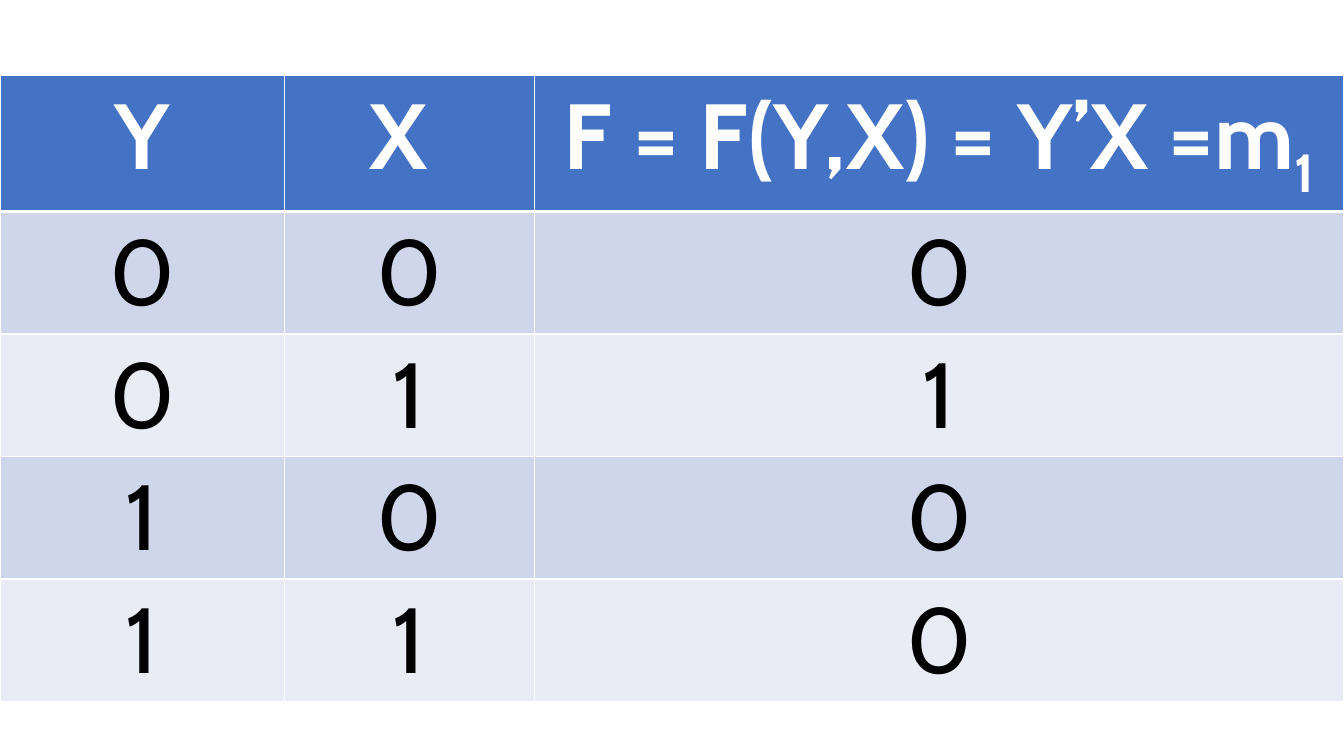
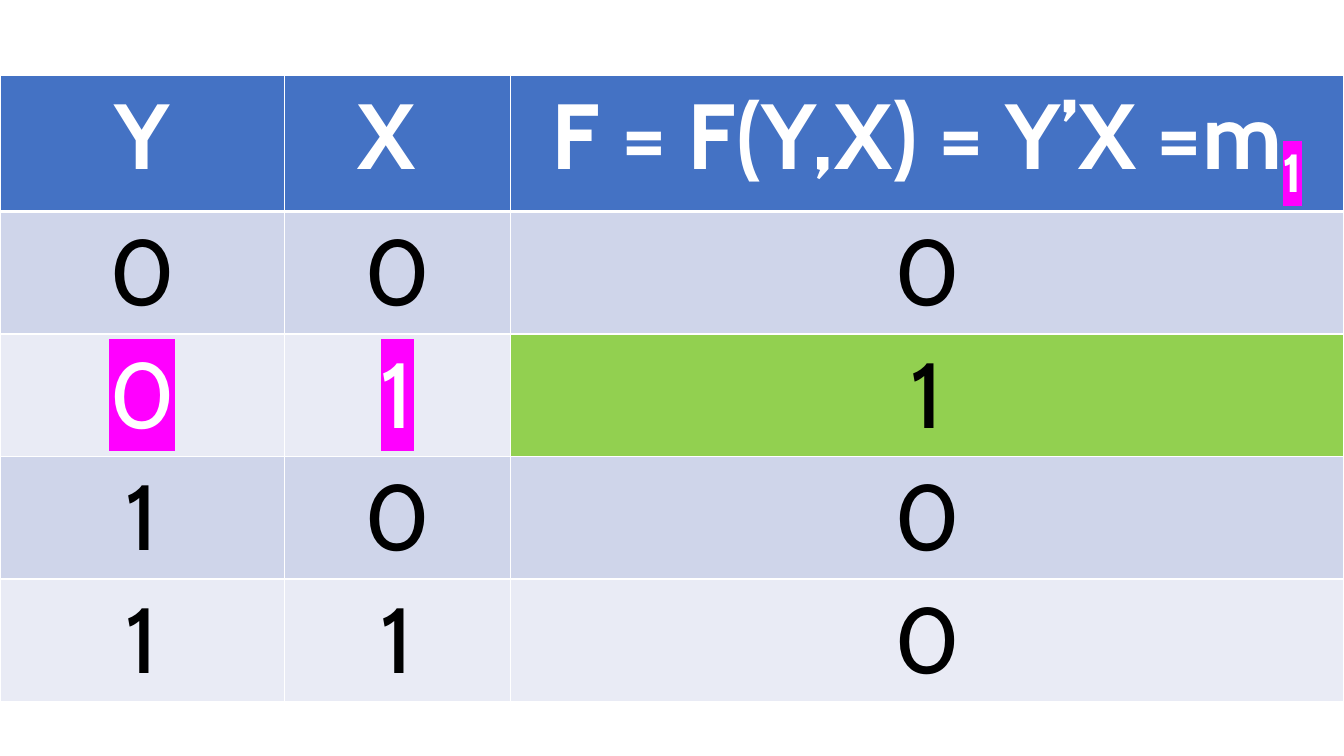
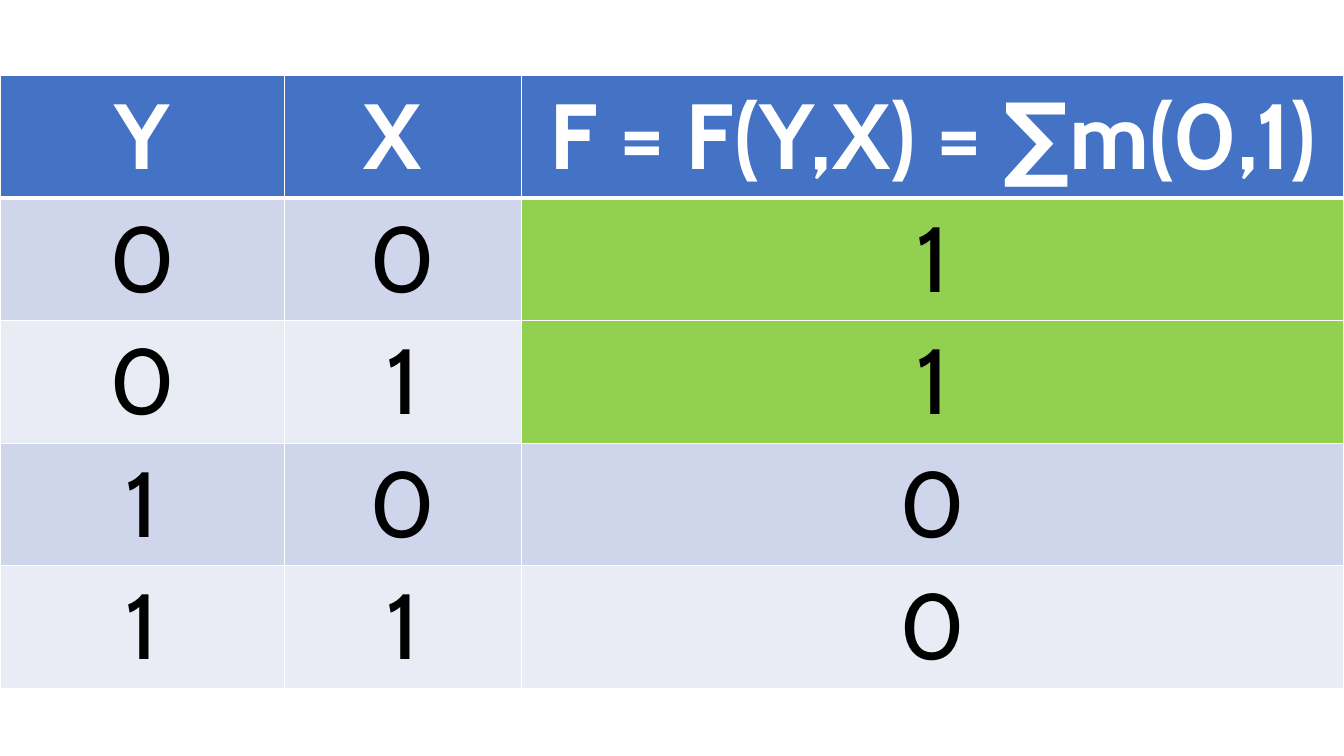
"""Build three truth-table slides for two-variable minterm functions."""
import itertools

import pptx
import pptx.dml.color
import pptx.enum.text
import pptx.oxml
import pptx.oxml.ns
import pptx.util

Pt = pptx.util.Pt

SLIDE_WIDTH, SLIDE_HEIGHT = 960, 540
TABLE_TOP, TABLE_HEIGHT = 54, 432
Y_WIDTH = 203
FONT, FONT_SIZE = "Cabin", 66
WHITE, BLACK = "FFFFFF", "000000"
HEADER, BANDS = "4472C4", ("CFD5EA", "E9EBF5")
GREEN, MAGENTA = "92D050", "FF00FF"
THIN, THICK = 1, 3


def colour(value):
    return pptx.dml.color.RGBColor.from_string(value)


def add_border(cell, side, width):
    cell._tc.get_or_add_tcPr().append(pptx.oxml.parse_xml(
        f'<a:ln{side} {pptx.oxml.ns.nsdecls("a")} w="{Pt(width)}">'
        f'<a:solidFill><a:srgbClr val="{WHITE}"/></a:solidFill></a:ln{side}>'))


def add_run(para, text, text_colour, bold=False, subscript=False, highlight=None):
    span = para.add_run()
    span.text = text
    span.font.size = Pt(FONT_SIZE)
    span.font.name = FONT
    span.font.bold = bold
    span.font.color.rgb = colour(text_colour)
    properties = span._r.get_or_add_rPr()
    if subscript:
        properties.set("baseline", "-25000")
    if highlight:
        properties.insert(1, pptx.oxml.parse_xml(
            f'<a:highlight {pptx.oxml.ns.nsdecls("a")}>'
            f'<a:srgbClr val="{highlight}"/></a:highlight>'))


def style_cell(cell, fill, top=THIN, bottom=THIN):
    for side, width in zip("LRTB", (THIN, THIN, top, bottom)):
        add_border(cell, side, width)
    cell.fill.solid()
    cell.fill.fore_color.rgb = colour(fill)
    para = cell.text_frame.paragraphs[0]
    para.alignment = pptx.enum.text.PP_ALIGN.CENTER
    return para


def add_header(table, formula, subscript, highlight):
    for column, text in enumerate(("Y", "X ", formula)):
        para = style_cell(table.cell(0, column), HEADER, bottom=THICK)
        add_run(para, text, WHITE, bold=True)
    if subscript:
        add_run(para, subscript, WHITE, bold=True, subscript=True, highlight=highlight)


def add_body(table, minterms, shaded, highlight):
    for index, inputs in enumerate(itertools.product((0, 1), repeat=2)):
        is_minterm = index in minterms
        for column, value in enumerate((*inputs, int(is_minterm))):
            is_output = column == 2
            fill = GREEN if is_output and is_minterm and shaded else BANDS[index % 2]
            mark = highlight if is_minterm and not is_output else None
            para = style_cell(table.cell(index + 1, column), fill,
                              top=THIN if index else THICK)
            add_run(para, str(value), WHITE if mark else BLACK, highlight=mark)


def add_truth_table(deck, x_width, formula, minterms,
                    subscript=None, shaded=False, highlight=None):
    page = deck.slides.add_slide(deck.slide_layouts[6])
    table = page.shapes.add_table(
        5, 3, Pt(0), Pt(TABLE_TOP), Pt(SLIDE_WIDTH), Pt(TABLE_HEIGHT)).table
    table.horz_banding = False
    widths = (Y_WIDTH, x_width, SLIDE_WIDTH - Y_WIDTH - x_width)
    for column, width in zip(table.columns, widths):
        column.width = Pt(width)
    add_header(table, formula, subscript, highlight)
    add_body(table, minterms, shaded, highlight)


def main():
    deck = pptx.Presentation()
    deck.slide_width, deck.slide_height = Pt(SLIDE_WIDTH), Pt(SLIDE_HEIGHT)
    product = "F = F(Y,X) = Y’X =m"
    add_truth_table(deck, 178.6, product, {1}, subscript="1")
    add_truth_table(deck, 161.5, product, {1}, subscript="1",
                    shaded=True, highlight=MAGENTA)
    add_truth_table(deck, 169.7, "F = F(Y,X) = ∑m(0,1)", {0, 1}, shaded=True)
    deck.save("out.pptx")


if __name__ == "__main__":
    main()
